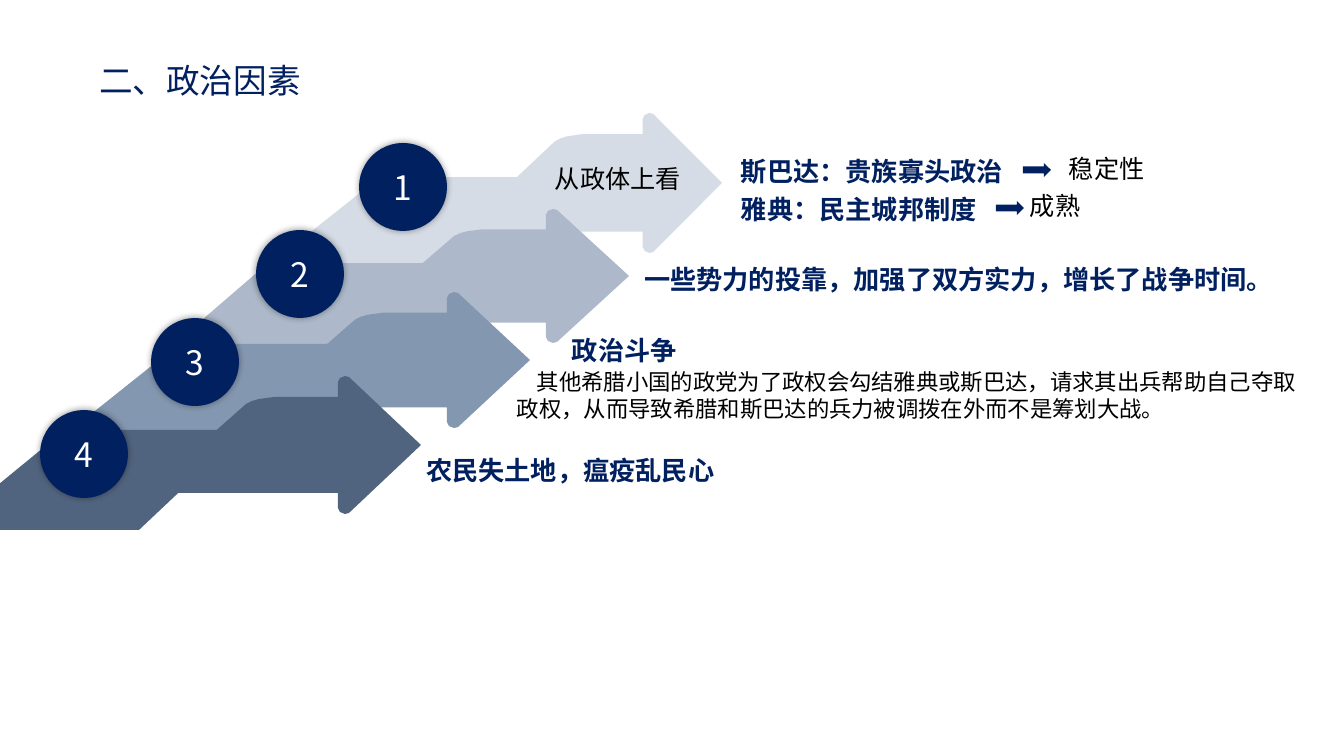
"""Builds the slide on political factors: four stepped arrows with their notes."""
from lxml import etree
from pptx import Presentation
from pptx.dml.color import RGBColor
from pptx.enum.shapes import MSO_SHAPE
from pptx.enum.text import MSO_ANCHOR, PP_ALIGN
from pptx.oxml import parse_xml
from pptx.oxml.ns import nsdecls, qn
from pptx.util import Pt

PX = 9071
NAVY = "002060"
CJK = "Noto Sans CJK SC"
SHADOW = (
    f'<a:effectLst {nsdecls("a")}><a:outerShdw blurRad="63500" dist="0" algn="ctr" rotWithShape="0">'
    '<a:srgbClr val="000000"><a:alpha val="40000"/></a:srgbClr></a:outerShdw></a:effectLst>'
)


def paint(shape, colour):
    shape.shadow.inherit = False
    shape.fill.solid()
    shape.fill.fore_color.rgb = RGBColor.from_string(colour)
    shape.line.fill.background()


def write(shape, text, size, colour, bold=False, font=CJK, align=PP_ALIGN.LEFT, spacing=1.0):
    shape.text_frame.text = text
    for paragraph in shape.text_frame.paragraphs:
        paragraph.alignment = align
        paragraph.line_spacing = spacing
        for run in paragraph.runs:
            run.font.size = Pt(size)
            run.font.bold = bold
            run.font.color.rgb = RGBColor.from_string(colour)
            run.font.name = font
            etree.SubElement(run.font._element, qn("a:ea")).set("typeface", CJK)


prs = Presentation()
prs.slide_width, prs.slide_height = 1344 * PX, 756 * PX
slide = prs.slides.add_slide(prs.slide_layouts[5])
shapes = slide.shapes

title = shapes.title
title.left, title.top, title.width, title.height = 99 * PX, 36 * PX, 664 * PX, 89 * PX
title_frame = title.text_frame
title_frame.margin_left = title_frame.margin_right = 0
title_frame.vertical_anchor = MSO_ANCHOR.MIDDLE
write(title, "二、政治因素", 24, NAVY, font="Calibri")
title_font = title_frame.paragraphs[0].runs[0].font._element
title_font.find(qn("a:solidFill")).addnext(parse_xml(SHADOW))

ARROW_WIDTH, ARROW_HEIGHT = 288, 138
ARROW = [
    (212, 138), (216, 137), (288, 69), (216, 1), (212, 0), (207, 2), (205, 6), (205, 21),
    (141, 21), (126, 23), (119, 25), (113, 28), (7, 122), (3, 128), (0, 136), (5, 128),
    (14, 122), (25, 118), (37, 117), (205, 117), (205, 132), (207, 136),
]
steps = [
    ("D6DCE5", [(557, 177), (380, 177), (259, 273), (440, 273), (484, 234)], (447, 113, 275, 140), (359, 143)),
    ("ADB9CA", [(438, 263), (268, 263), (151, 364), (320, 364)], (341, 209, 288, 134), (256, 230)),
    ("8497B0", [(341, 344), (179, 344), (70, 431), (247, 431)], (242, 292, 288, 136), (151, 318)),
    ("51647F", [(245, 430), (65, 430), (-57, 530), (139, 530)], (133, 376, 288, 138), (40, 410)),
]
for number, (colour, band, (left, top, width, height), badge_at) in enumerate(steps, 1):
    arrow = [
        (left + x * width / ARROW_WIDTH, top + y * height / ARROW_HEIGHT) for x, y in ARROW
    ]
    for outline in (band, arrow):
        points = [(round(x * PX), round(y * PX)) for x, y in outline]
        builder = shapes.build_freeform(*points[0])
        builder.add_line_segments(points[1:], close=True)
        paint(builder.convert_to_shape(), colour)
    badge = shapes.add_shape(MSO_SHAPE.OVAL, badge_at[0] * PX, badge_at[1] * PX, 88 * PX, 88 * PX)
    paint(badge, NAVY)
    properties = badge._element.spPr
    properties.replace(properties.find(qn("a:effectLst")), parse_xml(SHADOW))
    badge.text_frame.vertical_anchor = MSO_ANCHOR.MIDDLE
    write(badge, str(number), 24, "FFFFFF", align=PP_ALIGN.CENTER)

headings = [
    ("斯巴达：贵族寡头政治\n雅典：民主城邦制度", 741, 149, 301, 90, 1.2),
    ("一些势力的投靠，加强了双方实力，增长了战争时间。", 644, 251, 642, 40, 1.4),
    ("政治斗争", 572, 322, 122, 30, 1.4),
    ("农民失土地，瘟疫乱民心", 426, 448, 300, 42, 1.2),
]
for text, left, top, width, height, spacing in headings:
    heading = shapes.add_textbox(left * PX, top * PX, width * PX, height * PX)
    frame = heading.text_frame
    frame.word_wrap = False
    frame.margin_left = frame.margin_right = frame.margin_top = frame.margin_bottom = 0
    write(heading, text, 18.7, NAVY, bold=True, spacing=spacing)

struggle = "其他希腊小国的政党为了政权会勾结雅典或斯巴达，请求其出兵帮助自己夺取政权，从而导致希腊和斯巴达的兵力被调拨在外而不是筹划大战。"
notes = [
    (struggle, 507, 363, 801, 92, 16, 20),
    ("稳定性", 1059, 148, 97, 40, 18, 0),
    ("从政体上看", 545, 158, 147, 40, 18, 0),
    ("成熟", 1020, 185, 72, 40, 18, 0),
]
for text, left, top, width, height, size, indent in notes:
    note = shapes.add_textbox(left * PX, top * PX, width * PX, height * PX)
    note.text_frame.word_wrap = text == struggle
    write(note, text, size, "000000")
    note.text_frame.paragraphs[0]._p.get_or_add_pPr().set("indent", str(indent * PX))

for left, top in [(1023, 163), (996, 201)]:
    pointer = shapes.add_shape(MSO_SHAPE.RIGHT_ARROW, left * PX, top * PX, 28 * PX, 14 * PX)
    paint(pointer, NAVY)

prs.save("out.pptx")
